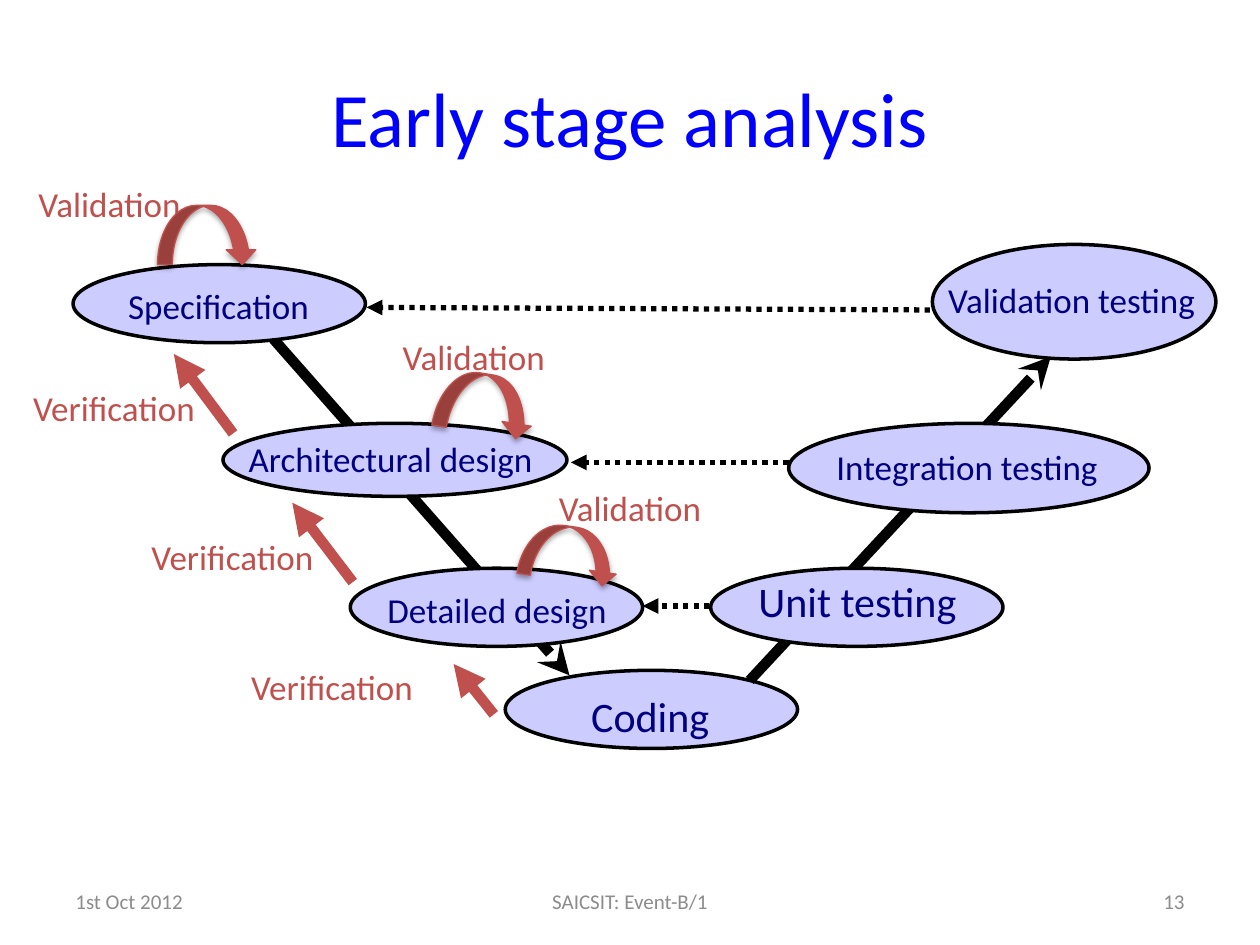
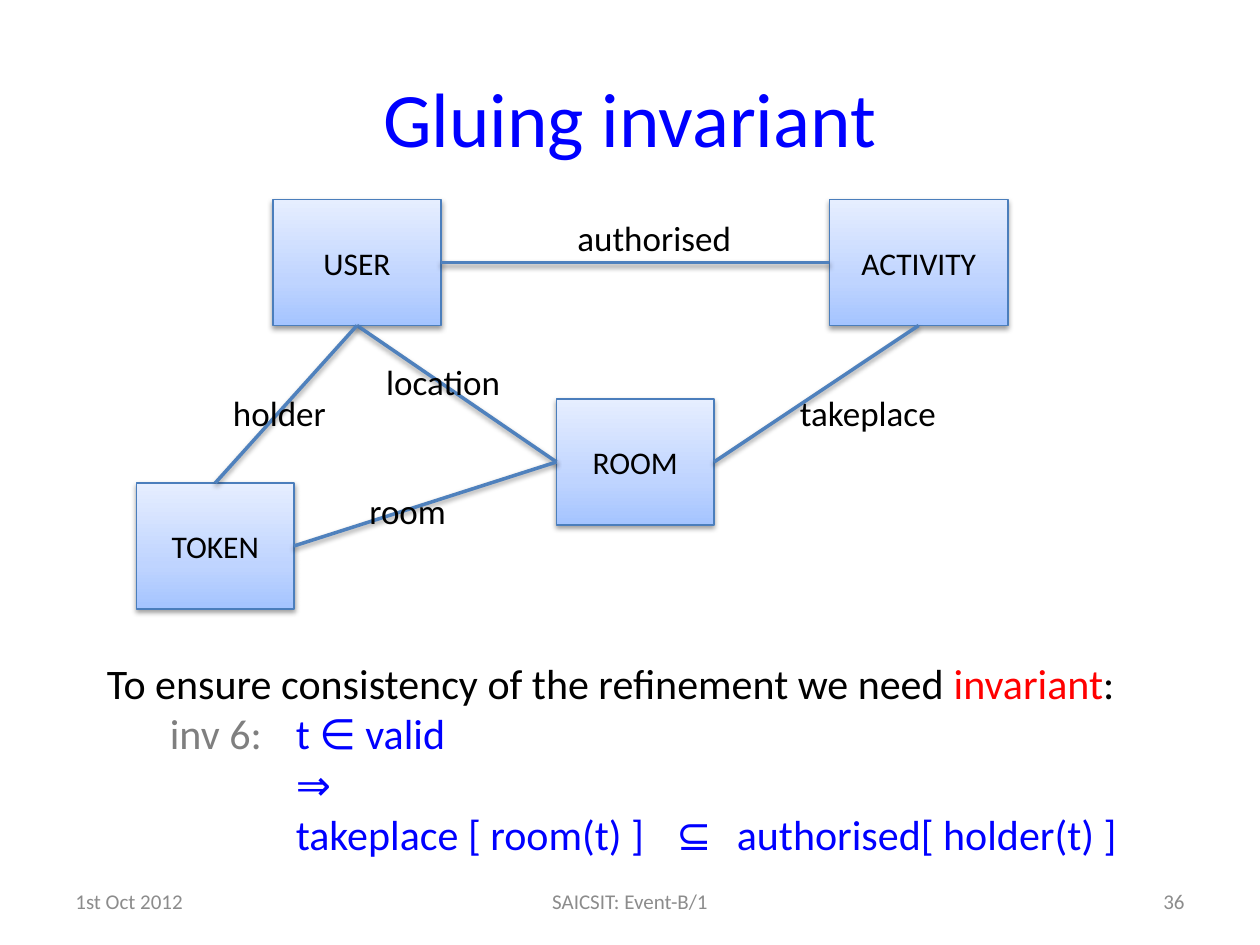
from copy import deepcopy
from dataclasses import dataclass

from lxml import etree
from pptx import Presentation
from pptx.dml.color import RGBColor
from pptx.enum.dml import MSO_LINE
from pptx.enum.shapes import MSO_CONNECTOR, MSO_SHAPE
from pptx.enum.text import MSO_ANCHOR, MSO_AUTO_SIZE, PP_ALIGN
from pptx.oxml.ns import qn
from pptx.util import Inches, Pt

LEFT, CENTER, RIGHT = PP_ALIGN.LEFT, PP_ALIGN.CENTER, PP_ALIGN.RIGHT
MIDDLE = MSO_ANCHOR.MIDDLE
FIT_SHAPE = MSO_AUTO_SIZE.SHAPE_TO_FIT_TEXT
STRAIGHT = MSO_CONNECTOR.STRAIGHT
ELLIPSE, RECTANGLE = MSO_SHAPE.OVAL, MSO_SHAPE.RECTANGLE
LOOP_ARROW = MSO_SHAPE.CURVED_DOWN_ARROW
DOTTED = MSO_LINE.ROUND_DOT
TOP_SITE, LEFT_SITE, BOTTOM_SITE, RIGHT_SITE = range(4)

FONT = "Calibri"
BLACK, BLUE, NAVY, RED = "000000", "0000FF", "000080", "FF0000"
GRAY, FOOTER_GRAY, BRICK = "7F7F7F", "8C8C8C", "C0504D"
LILAC, BOX_EDGE, LINK_BLUE = "CCCCFF", "4B7EBC", "4F81BD"
BOX_GRADIENT = [(0, "A4C4FF"), (0.35, "BFD4FF"), (1, "E6EEFF")]
SLIDE_WIDTH, SLIDE_HEIGHT = Inches(10), Inches(7.5)
LABEL_MARGINS = (0.07, 0.03)
LOOP_SHADOW, BOX_SHADOW = (35, 1.8), (38, 1.6)  # opacity in percent, distance in points


@dataclass
class Grid:
    """Square cells, counted across the slide width, from a starting column and row."""
    columns: int
    left: float = 0
    top: float = 0

    def length(self, cells):
        return round(SLIDE_WIDTH * cells / self.columns)

    def point(self, x, y):
        return self.length(self.left + x), self.length(self.top + y)

    def box(self, x, y, width, height):
        return *self.point(x, y), self.length(width), self.length(height)


PAGE = Grid(120)


def color(value):
    return RGBColor.from_string(value)


def set_font(font, size, value):
    font.name, font.size = FONT, Pt(size)
    font.color.rgb = color(value)


def set_line(line, value, width):
    line.color.rgb = color(value)
    line.width = Pt(width)


def set_shadow(shape, shadow=None):
    """Replace the theme shadow; call after fill and line are set."""
    effects = etree.SubElement(shape._element.spPr, qn("a:effectLst"))
    if shadow:
        opacity, distance = shadow
        outer = etree.SubElement(effects, qn("a:outerShdw"), blurRad=str(Pt(3.1)),
                                 dist=str(Pt(distance)), dir="5400000", rotWithShape="0")
        tint = etree.SubElement(outer, qn("a:srgbClr"), val=BLACK)
        etree.SubElement(tint, qn("a:alpha"), val=str(opacity * 1000))


def write(shape, text, size, value, align):
    paragraph = shape.text_frame.paragraphs[0]
    paragraph.text = text
    paragraph.alignment = align
    set_font(paragraph.font, size, value)


def add_text(slide, box, text, size, value, align=CENTER, margins=(0.1, 0.05), wrap=True):
    text_box = slide.shapes.add_textbox(*box)
    frame = text_box.text_frame
    frame.word_wrap = wrap
    frame.margin_left = frame.margin_right = Inches(margins[0])
    frame.margin_top = frame.margin_bottom = Inches(margins[1])
    write(text_box, text, size, value, align)
    return text_box


def add_shape(slide, kind, box, fill, edge, width, shadow=None):
    shape = slide.shapes.add_shape(kind, *box)
    if isinstance(fill, str):
        shape.fill.solid()
        shape.fill.fore_color.rgb = color(fill)
    else:
        shape.fill.gradient()
        shape.fill.gradient_angle = 90
        stop_list = shape._element.spPr.find(".//" + qn("a:gsLst"))
        stop_list.insert(1, deepcopy(stop_list[0]))
        for stop, (position, value) in zip(shape.fill.gradient_stops, fill):
            stop.position = position
            stop.color.rgb = color(value)
    set_line(shape.line, edge, width)
    set_shadow(shape, shadow)
    return shape


def add_arrow(slide, start, end, value, width, head, dash=None):
    arrow = slide.shapes.add_connector(STRAIGHT, *start, *end)
    set_line(arrow.line, value, width)
    if dash:
        arrow.line.dash_style = dash
    etree.SubElement(arrow.line._ln, qn("a:tailEnd"), type=head)
    set_shadow(arrow)


def add_page(presentation, title, number):
    """Title and footer that all slides share."""
    slide = presentation.slides.add_slide(presentation.slide_layouts[5])
    heading = slide.shapes.title
    heading.left, heading.top, heading.width, heading.height = PAGE.box(6, 3.6, 108, 15)
    heading.text_frame.vertical_anchor = MIDDLE
    write(heading, title, 44, BLUE, CENTER)
    for left, width, text, align in [(6, 28, "1st Oct 2012", LEFT),
                                     (41, 38, "SAICSIT: Event-B/1", CENTER),
                                     (86, 28, number, RIGHT)]:
        footer = add_text(slide, PAGE.box(left, 83.4, width, 4.8), text, 12,
                          FOOTER_GRAY, align)
        footer.text_frame.vertical_anchor = MIDDLE
    return slide


def add_v_model(slide, grid):
    # Each branch: its arrow, then stages as name, size, ellipse, label
    branches = [
        ((21.7, 12.9), (45.2, 39.6), [
            ("Specification", 20, (5.8, 7, 23.2, 6.2), (7.1, 8.3, 20.5, 3.3)),
            ("Architectural design", 20, (17.7, 19.6, 27.3, 5.8), (16.9, 20.4, 28.2, 3.8)),
            ("Detailed design", 20, (27.8, 31.1, 23.2, 6.2), (27.7, 32.4, 23.5, 3.3)),
            ("Coding", 24, (40.1, 39.2, 23.2, 6.2), (39.9, 40.5, 23.4, 5.2)),
        ]),
        ((59.5, 40), (83.4, 14.3), [
            ("Unit testing", 24, (56.4, 31.1, 23.2, 6.2), (56.3, 31.4, 23.5, 4.4)),
            ("Integration testing", 20, (62.6, 19.6, 28.6, 7.1), (63.4, 21.1, 26.7, 3.3)),
            ("Validation testing", 20, (74, 5.4, 22.5, 9.1), (73.7, 7.8, 22.7, 5.5)),
        ]),
    ]
    for start, end, stages in branches:
        add_arrow(slide, grid.point(*start), grid.point(*end), BLACK, 6, "stealth")
        for name, size, ellipse, label in stages:
            add_shape(slide, ELLIPSE, grid.box(*ellipse), LILAC, BLACK, 2)
            add_text(slide, grid.box(*label), name, size, NAVY, margins=LABEL_MARGINS)

    # Dotted arrows from each test back to its design stage
    for start, end in [((56.3, 34.1), (51, 34.1)), ((62.6, 22.7), (45.3, 22.7)),
                       ((73.8, 10.6), (29.1, 10.4))]:
        add_arrow(slide, grid.point(*start), grid.point(*end), BLACK, 3, "triangle", DOTTED)


def add_checks(slide, grid):
    # Verification: label position, arrow start and end
    for label, start, end in [((0.4, 16.4), (18.5, 20.4), (13.8, 14.1)),
                              ((9.8, 28.2), (28, 32.2), (23.2, 25.9)),
                              ((17.7, 38.5), (39.2, 42.7), (36, 38.7))]:
        add_text(slide, grid.box(*label, 17.3, 3.9), "Verification", 20, BRICK,
                 margins=LABEL_MARGINS)
        add_arrow(slide, grid.point(*start), grid.point(*end), BRICK, 6, "triangle")

    # Validation: label position and width, looping arrow and its rotation
    for label, width, loop, rotation in [
            ((1.2, 0.2), 15, (12.5, 2.3, 7.9, 4.7), 0),
            ((29.9, 12.3), 15.4, (34.6, 15.7, 7.9, 4.7), 9.3),
            ((42.2, 24.3), 15.6, (41.3, 27.8, 7.9, 4.3), 8.4)]:
        add_text(slide, grid.box(*label, width, 3.9), "Validation", 20, BRICK,
                 margins=LABEL_MARGINS)
        arrow = add_shape(slide, LOOP_ARROW, grid.box(*loop), BRICK, BRICK, 0.75, LOOP_SHADOW)
        arrow.rotation = rotation


def add_entity_diagram(slide, grid):
    # Entities: left, top and width in cells
    entities = {}
    for name, left, top, width in [("USER", 13, 0, 16), ("ACTIVITY", 66, 0, 17),
                                   ("ROOM", 40, 19, 15), ("TOKEN", 0, 27, 15)]:
        entity = add_shape(slide, RECTANGLE, grid.box(left, top, width, 12),
                           BOX_GRADIENT, BOX_EDGE, 0.75, BOX_SHADOW)
        entity.text_frame.vertical_anchor = MIDDLE
        write(entity, name, 18, BLACK, CENTER)
        entities[name] = entity

    # Relations: both ends, then the label's left, top and width
    for name, source, source_site, target, target_site, left, top, width in [
            ("location", "USER", BOTTOM_SITE, "ROOM", LEFT_SITE, 22.6, 14.7, 13.4),
            ("authorised", "USER", RIGHT_SITE, "ACTIVITY", LEFT_SITE, 40.8, 1, 17.2),
            ("takeplace", "ACTIVITY", BOTTOM_SITE, "ROOM", RIGHT_SITE, 62, 17.7, 15.5),
            ("holder", "TOKEN", TOP_SITE, "USER", BOTTOM_SITE, 8, 17.7, 11.4),
            ("room", "TOKEN", RIGHT_SITE, "ROOM", LEFT_SITE, 21, 27, 9.8)]:
        link = slide.shapes.add_connector(STRAIGHT, 0, 0, 0, 0)
        link.begin_connect(entities[source], source_site)
        link.end_connect(entities[target], target_site)
        set_line(link.line, LINK_BLUE, 2)
        set_shadow(link, BOX_SHADOW)
        label = add_text(slide, grid.box(left, top, width, 5.3), name, 20, BLACK, LEFT,
                         wrap=False)
        label.text_frame.auto_size = FIT_SHAPE


def add_invariant(slide, box):
    lines = [
        [("To ensure consistency of the refinement we need ", BLACK),
         ("invariant", RED), (":", BLACK)],
        [("\tinv 6:\t", GRAY), ("t ∈ valid", BLUE)],
        [("\t\t⇒", BLUE)],
        [("\t\ttakeplace [ room(t) ]\t⊆\tauthorised[ holder(t) ]", BLUE)],
    ]
    frame = slide.shapes.add_textbox(*box).text_frame
    frame.word_wrap = True
    for index, runs in enumerate(lines):
        paragraph = frame.add_paragraph() if index else frame.paragraphs[0]
        tabs = etree.SubElement(paragraph._p.get_or_add_pPr(), qn("a:tabLst"))
        for position in (0.5, 1.5, 4.52, 5):
            etree.SubElement(tabs, qn("a:tab"), pos=str(Inches(position)), algn="l")
        for text, value in runs:
            run = paragraph.add_run()
            run.text = text
            set_font(run.font, 24, value)


def main():
    presentation = Presentation()
    presentation.slide_width, presentation.slide_height = SLIDE_WIDTH, SLIDE_HEIGHT

    analysis = add_page(presentation, "Early stage analysis", "13")
    v_grid = Grid(100, top=14)
    add_v_model(analysis, v_grid)
    add_checks(analysis, v_grid)

    gluing = add_page(presentation, "Gluing invariant", "36")
    add_entity_diagram(gluing, Grid(120, left=13, top=19))
    add_invariant(gluing, PAGE.box(9, 62, 101, 20.5))

    presentation.save("out.pptx")


if __name__ == "__main__":
    main()
